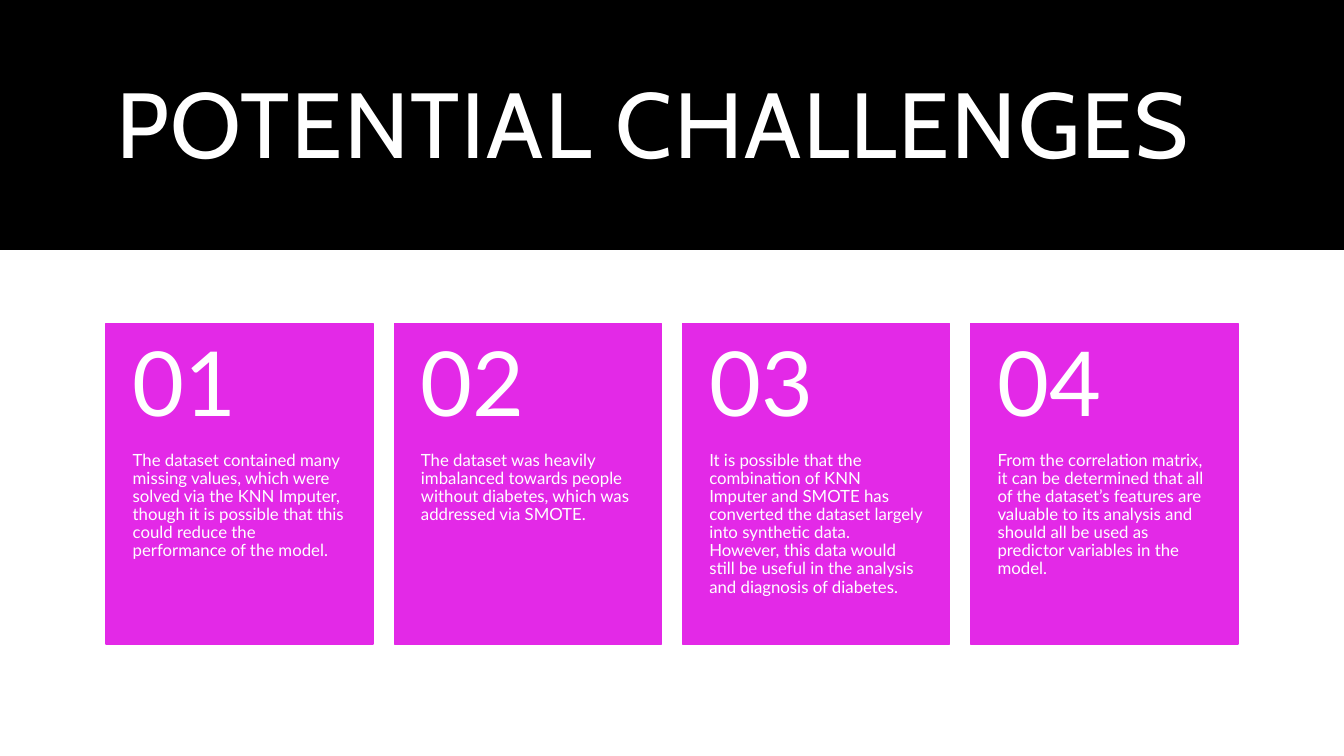
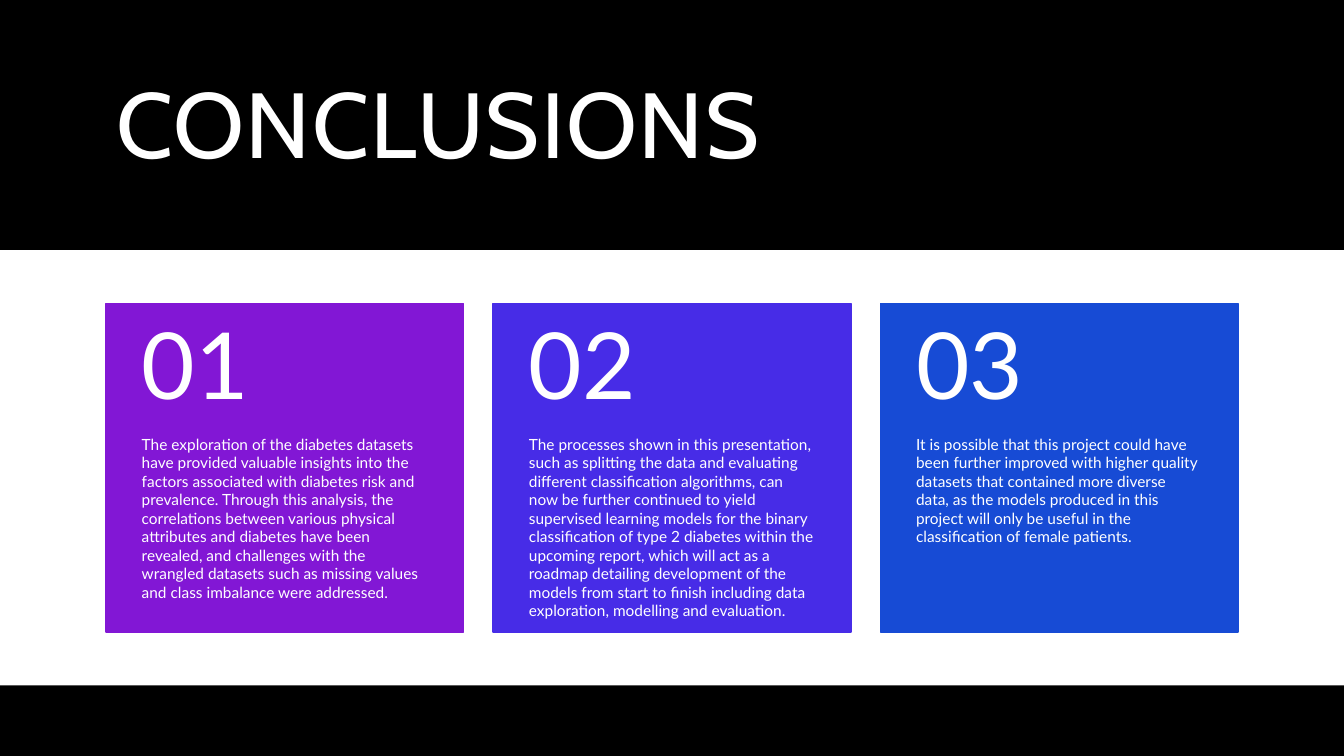
"""Build two slides of numbered cards under a shared title band."""
import pptx
import pptx.dml.color
import pptx.enum.shapes
import pptx.enum.text
import pptx.util

Cm = pptx.util.Cm
Pt = pptx.util.Pt
RGBColor = pptx.dml.color.RGBColor
ANCHOR = pptx.enum.text.MSO_ANCHOR

BLACK = RGBColor(0x00, 0x00, 0x00)
WHITE = RGBColor(0xFF, 0xFF, 0xFF)
MAGENTA = RGBColor(0xE3, 0x29, 0xE7)
PURPLE = RGBColor(0x82, 0x17, 0xD5)
INDIGO = RGBColor(0x47, 0x2C, 0xE7)
BLUE = RGBColor(0x17, 0x4B, 0xD5)

TITLE_FONT = "Cabin"
BODY_FONT = "Lato"
PAGE_WIDTH, PAGE_HEIGHT = 33.87, 19.05
MARGIN = 2.67
CONTENT_WIDTH = PAGE_WIDTH - 2 * MARGIN
TITLE_BAND_HEIGHT = 6.3
FOOTER_TOP = 17.27

CHALLENGES = [
    (MAGENTA, "The dataset contained many missing values, which were solved via the KNN Imputer, "
     "though it is possible that this could reduce the performance of the model."),
    (MAGENTA, "The dataset was heavily imbalanced towards people without diabetes, "
     "which was addressed via SMOTE."),
    (MAGENTA, "It is possible that the combination of KNN Imputer and SMOTE has converted the dataset "
     "largely into synthetic data. However, this data would still be useful in the analysis and "
     "diagnosis of diabetes."),
    (MAGENTA, "From the correlation matrix, it can be determined that all of the dataset’s features "
     "are valuable to its analysis and should all be used as predictor variables in the model."),
]
CONCLUSIONS = [
    (PURPLE, "The exploration of the diabetes datasets have provided valuable insights into the factors "
     "associated with diabetes risk and prevalence. Through this analysis, the correlations between "
     "various physical attributes and diabetes have been revealed, and challenges with the wrangled "
     "datasets such as missing values and class imbalance were addressed."),
    (INDIGO, "The processes shown in this presentation, such as splitting the data and evaluating "
     "different classification algorithms, can now be further continued to yield supervised learning "
     "models for the binary classification of type 2 diabetes within the upcoming report, which will "
     "act as a roadmap detailing development of the models from start to finish including data "
     "exploration, modelling and evaluation."),
    (BLUE, "It is possible that this project could have been further improved with higher quality "
     "datasets that contained more diverse data, as the models produced in this project will only be "
     "useful in the classification of female patients."),
]


def add_panel(shapes, left, top, width, height, color):
    """Add a plain filled rectangle."""
    panel = shapes.add_shape(pptx.enum.shapes.MSO_SHAPE.RECTANGLE,
                             Cm(left), Cm(top), Cm(width), Cm(height))
    panel.shadow.inherit = False
    panel.fill.solid()
    panel.fill.fore_color.rgb = color
    panel.line.color.rgb = color
    panel.line.width = Pt(1)
    return panel


def write(frame, text, font, size, anchor, spacing):
    """Write one white, left-aligned paragraph and return its run."""
    frame.word_wrap = True
    frame.auto_size = pptx.enum.text.MSO_AUTO_SIZE.NONE
    frame.vertical_anchor = anchor
    para = frame.paragraphs[0]
    para.alignment = pptx.enum.text.PP_ALIGN.LEFT
    para.line_spacing = spacing
    span = para.add_run()
    span.text = text
    span.font.name = font
    span.font.size = Pt(size)
    span.font.color.rgb = WHITE
    return span


def add_text(shapes, left, top, width, height, insets, text, size, anchor, spacing):
    """Add a text box with side, top and bottom insets."""
    box = shapes.add_textbox(Cm(left), Cm(top), Cm(width), Cm(height))
    frame = box.text_frame
    side, upper, lower = insets
    frame.margin_left = frame.margin_right = Cm(side)
    frame.margin_top, frame.margin_bottom = Cm(upper), Cm(lower)
    write(frame, text, BODY_FONT, size, anchor, spacing)


def add_card(page, left, top, width, height, color, number, text, number_size, text_size, spacing):
    """Add a grouped card with a large number above its text."""
    shapes = page.shapes.add_group_shape().shapes
    number_height = 0.4 * height
    side = width / 10
    add_panel(shapes, left, top, width, height, color)
    add_text(shapes, left, top + number_height, width, height - number_height,
             (side, 0, 0.91), text, text_size, ANCHOR.TOP, spacing)
    add_text(shapes, left, top, width, number_height,
             (side, 0.46, 0.46), f"{number:02d}", number_size, ANCHOR.MIDDLE, 0.9)


def add_cards(page, cards, top, height, gap, number_size, text_size, spacing):
    """Spread the cards evenly over the content width."""
    width = (CONTENT_WIDTH - gap * (len(cards) - 1)) / len(cards)
    for index, (color, text) in enumerate(cards):
        add_card(page, MARGIN + index * (width + gap), top, width, height, color,
                 index + 1, text, number_size, text_size, spacing)


def add_page(deck, heading):
    """Add a title-only slide and format its heading."""
    page = deck.slides.add_slide(deck.slide_layouts[5])
    title = page.shapes.title
    title.left, title.top = Cm(MARGIN), Cm(0.89)
    title.width, title.height = Cm(CONTENT_WIDTH), Cm(4.72)
    span = write(title.text_frame, heading, TITLE_FONT, 66, ANCHOR.MIDDLE, 0.9)
    span.font._element.set("spc", "120")
    return page


def add_layout_band(page):
    """Place the title band on the layout that the slides share."""
    band = add_panel(page.shapes, 0, 0, PAGE_WIDTH, TITLE_BAND_HEIGHT, BLACK)
    band.line.fill.background()
    page.slide_layout.shapes.element.insert(2, band.element)


def main():
    """Build and save the deck."""
    deck = pptx.Presentation()
    deck.slide_width, deck.slide_height = Cm(PAGE_WIDTH), Cm(PAGE_HEIGHT)

    challenges = add_page(deck, "POTENTIAL CHALLENGES")
    add_layout_band(challenges)
    add_cards(challenges, CHALLENGES, top=8.15, height=8.08, gap=0.53,
              number_size=64, text_size=12, spacing=0.9)

    conclusions = add_page(deck, "CONCLUSIONS")
    footer = add_panel(conclusions.shapes, 0, FOOTER_TOP, PAGE_WIDTH, PAGE_HEIGHT - FOOTER_TOP, BLACK)
    footer.line.fill.background()
    add_cards(conclusions, CONCLUSIONS, top=7.65, height=8.28, gap=0.74,
              number_size=66, text_size=11, spacing=1.0)

    deck.save("out.pptx")


if __name__ == "__main__":
    main()
